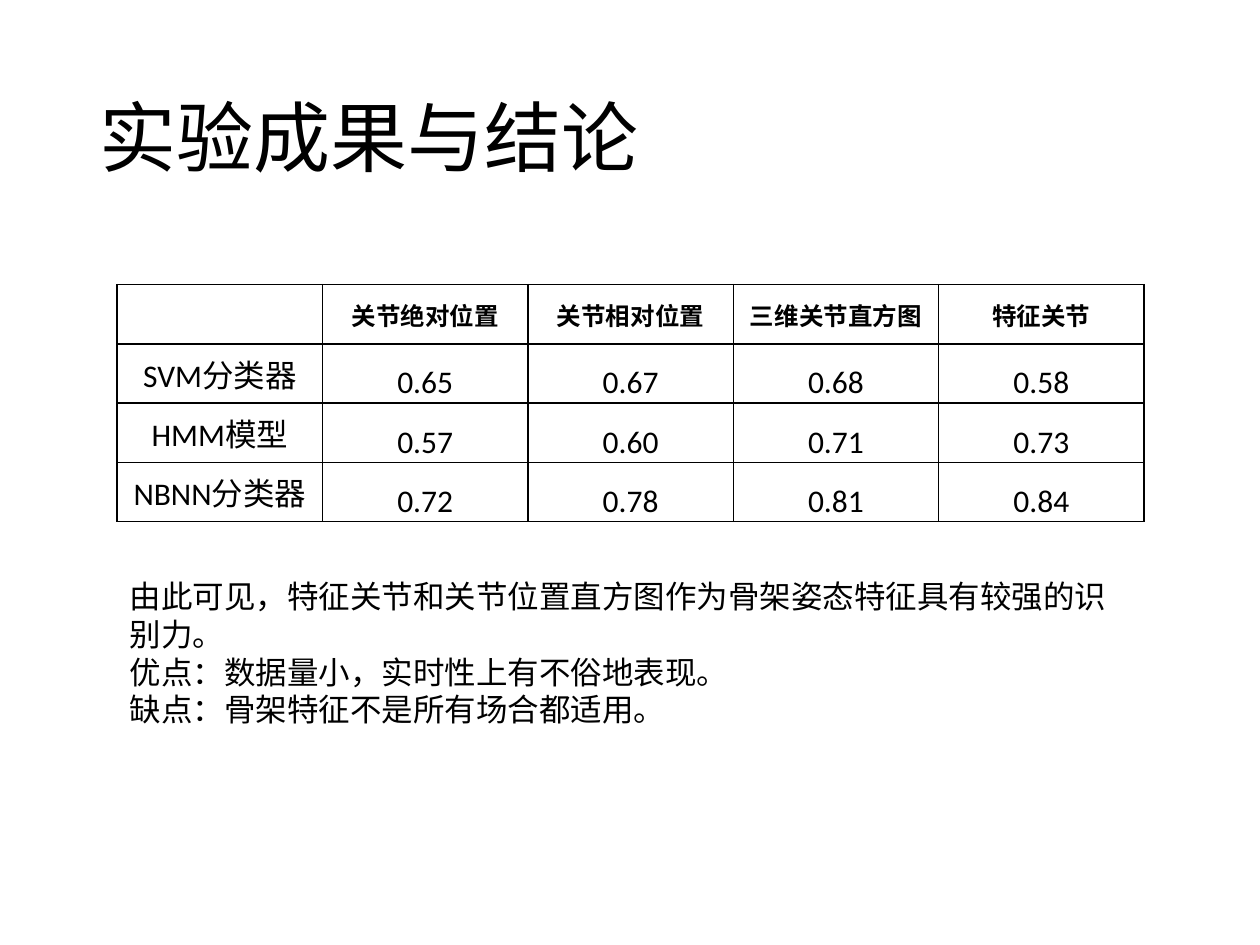
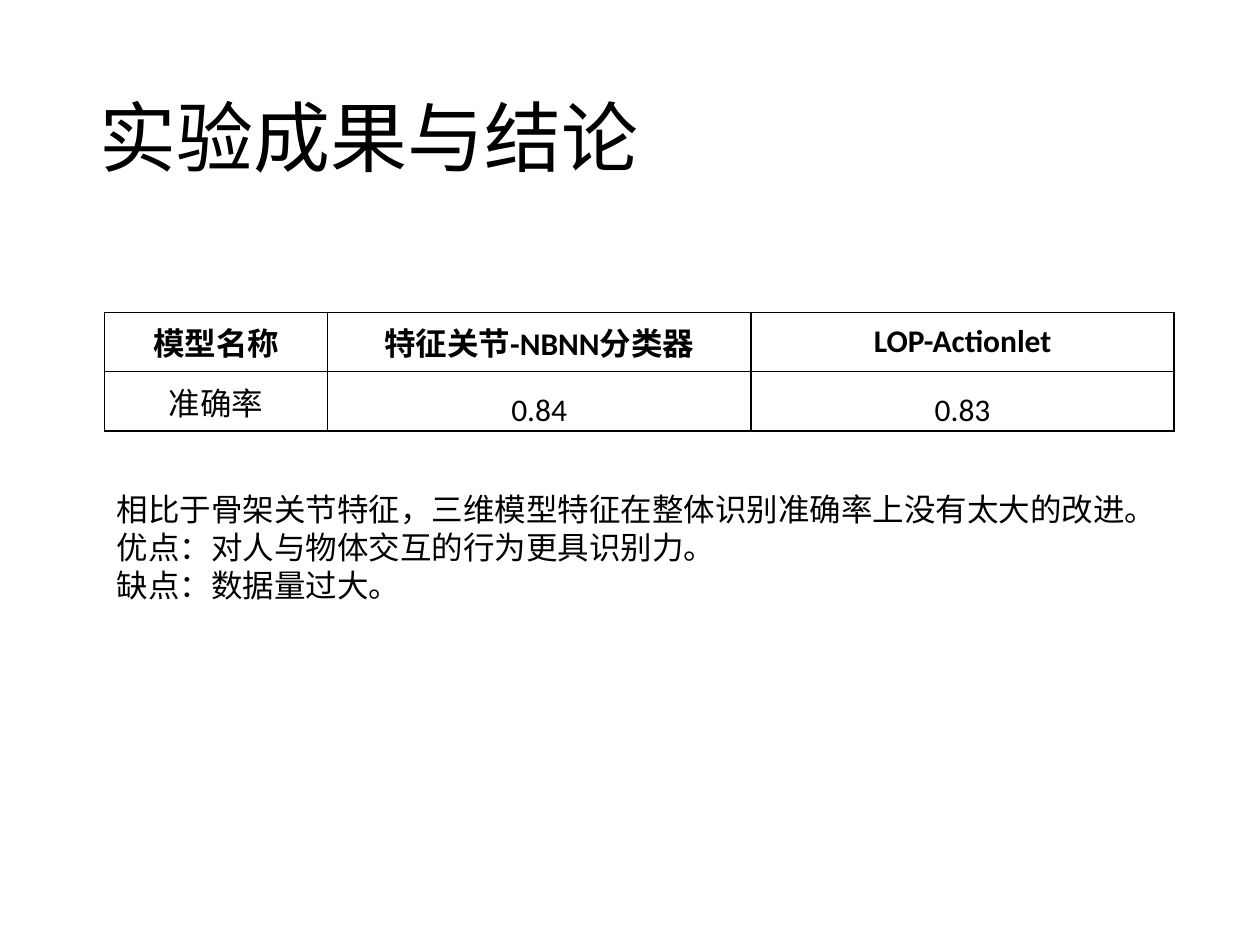
from dataclasses import dataclass

from lxml.etree import SubElement
from pptx import Presentation
from pptx.dml.color import RGBColor
from pptx.enum.text import MSO_ANCHOR, PP_ALIGN
from pptx.oxml.ns import qn
from pptx.util import Inches, Pt


@dataclass(frozen=True)
class Theme:
    ink: str = "000000"
    paper: str = "FFFFFF"
    main_font: str = "Calibri"
    note_font: str = "Arial"
    title_size: int = 44
    body_size: int = 18
    border_width: int = 1


class DeckBuilder:
    def __init__(self, theme):
        self.theme = theme
        self.deck = Presentation()
        self.deck.slide_width = Inches(10)
        self.deck.slide_height = Inches(7.5)
        self.page = None

    def add_page(self, title):
        self.page = self.deck.slides.add_slide(self.deck.slide_layouts[6])
        background = self.page.background.fill
        background.solid()
        background.fore_color.rgb = RGBColor.from_string(self.theme.paper)
        frame = self.add_box(0.69, 0.4, 8.62, 1.45)
        frame.vertical_anchor = MSO_ANCHOR.MIDDLE
        frame.text = title
        para = frame.paragraphs[0]
        para.line_spacing = 0.9
        self.style_span(para.runs[0], self.theme.title_size)

    def add_box(self, left, top, width, height):
        box = self.page.shapes.add_textbox(
            Inches(left), Inches(top), Inches(width), Inches(height))
        box.text_frame.word_wrap = True
        return box.text_frame

    def style_span(self, span, size, font=None, bold=False):
        span.font.name = font or self.theme.main_font
        span.font.size = Pt(size)
        span.font.bold = bold
        span.font.color.rgb = RGBColor.from_string(self.theme.ink)

    def add_notes_block(self, left, top, width, height, lines):
        frame = self.add_box(left, top, width, height)
        for index, line in enumerate(lines):
            para = frame.add_paragraph() if index else frame.paragraphs[0]
            for text, font in line:
                span = para.add_run()
                span.text = text
                self.style_span(span, self.theme.body_size, font)

    def add_results_table(self, left, top, column_widths, rows, header_size):
        row_height = 0.47
        frame = self.page.shapes.add_table(
            len(rows), len(column_widths), Inches(left), Inches(top),
            Inches(sum(column_widths)), Inches(row_height * len(rows)))
        table = frame.table
        for column, width in zip(table.columns, column_widths):
            column.width = Inches(width)
        for row_index, values in enumerate(rows):
            table.rows[row_index].height = Inches(row_height)
            for column_index, value in enumerate(values):
                is_header = row_index == 0
                self.fill_cell(
                    table.cell(row_index, column_index), value,
                    header_size if is_header else self.theme.body_size,
                    is_header, not is_header and column_index > 0)

    def fill_cell(self, cell, value, size, bold, is_score):
        side, edge = (0.06, 0) if is_score else (0.07, 0.04)
        cell.margin_left = cell.margin_right = Inches(side)
        cell.margin_top = cell.margin_bottom = Inches(edge)
        cell.vertical_anchor = MSO_ANCHOR.MIDDLE
        self.add_borders(cell)
        cell.fill.solid()
        cell.fill.fore_color.rgb = RGBColor.from_string(self.theme.paper)
        cell.text_frame.text = value
        para = cell.text_frame.paragraphs[0]
        para.alignment = PP_ALIGN.CENTER
        if is_score:
            para.line_spacing = 1.5
        for span in para.runs:
            self.style_span(span, size, bold=bold)

    def add_borders(self, cell):
        properties = cell._tc.get_or_add_tcPr()
        for edge in ("a:lnL", "a:lnR", "a:lnT", "a:lnB"):
            line = SubElement(properties, qn(edge), w=str(Pt(self.theme.border_width)))
            fill = SubElement(line, qn("a:solidFill"))
            SubElement(fill, qn("a:srgbClr"), val=self.theme.ink)


def main():
    theme = Theme()
    main_font, note_font = theme.main_font, theme.note_font
    builder = DeckBuilder(theme)
    title = "实验成果与结论"

    builder.add_page(title)
    builder.add_results_table(0.93, 2.26, [1.63] * 5, [
        ["", "关节绝对位置", "关节相对位置", "三维关节直方图", "特征关节"],
        ["SVM分类器", "0.65", "0.67", "0.68", "0.58"],
        ["HMM模型", "0.57", "0.60", "0.71", "0.73"],
        ["NBNN分类器", "0.72", "0.78", "0.81", "0.84"],
    ], header_size=14)
    builder.add_notes_block(0.93, 4.53, 8.15, 1.31, [
        [("由此可见，特征关节和关节位置直方图作为骨架姿态特征具有较强的识别力。", note_font)],
        [("优点：数据量小，", note_font), ("实时性上有不俗地表现。", main_font)],
        [("缺点：骨架特征不是所有场合都适用。", note_font)],
    ])

    builder.add_page(title)
    builder.add_results_table(0.83, 2.48, [1.77, 3.36, 3.36], [
        ["模型名称", "特征关节-NBNN分类器", "LOP-Actionlet"],
        ["准确率", "0.84", "0.83"],
    ], header_size=theme.body_size)
    builder.add_notes_block(0.83, 3.84, 8.48, 1.01, [
        [("相比于骨架关节特征，三维模型特征在整体识别准确率上没有太大的改进。", note_font)],
        [("优点：", note_font), ("对人与物体交互的行为更具识别力。", main_font)],
        [("缺点：数据量过大。", note_font)],
    ])

    builder.deck.save("out.pptx")


if __name__ == "__main__":
    main()
